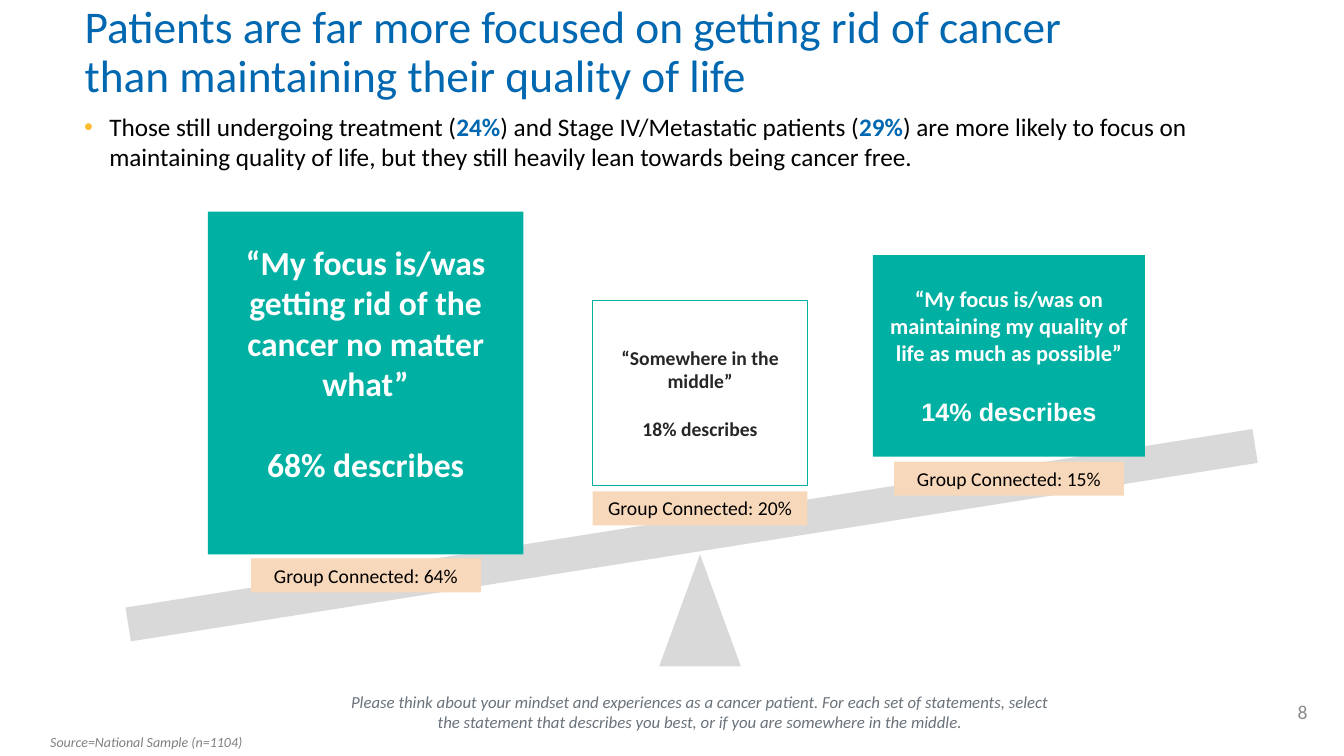
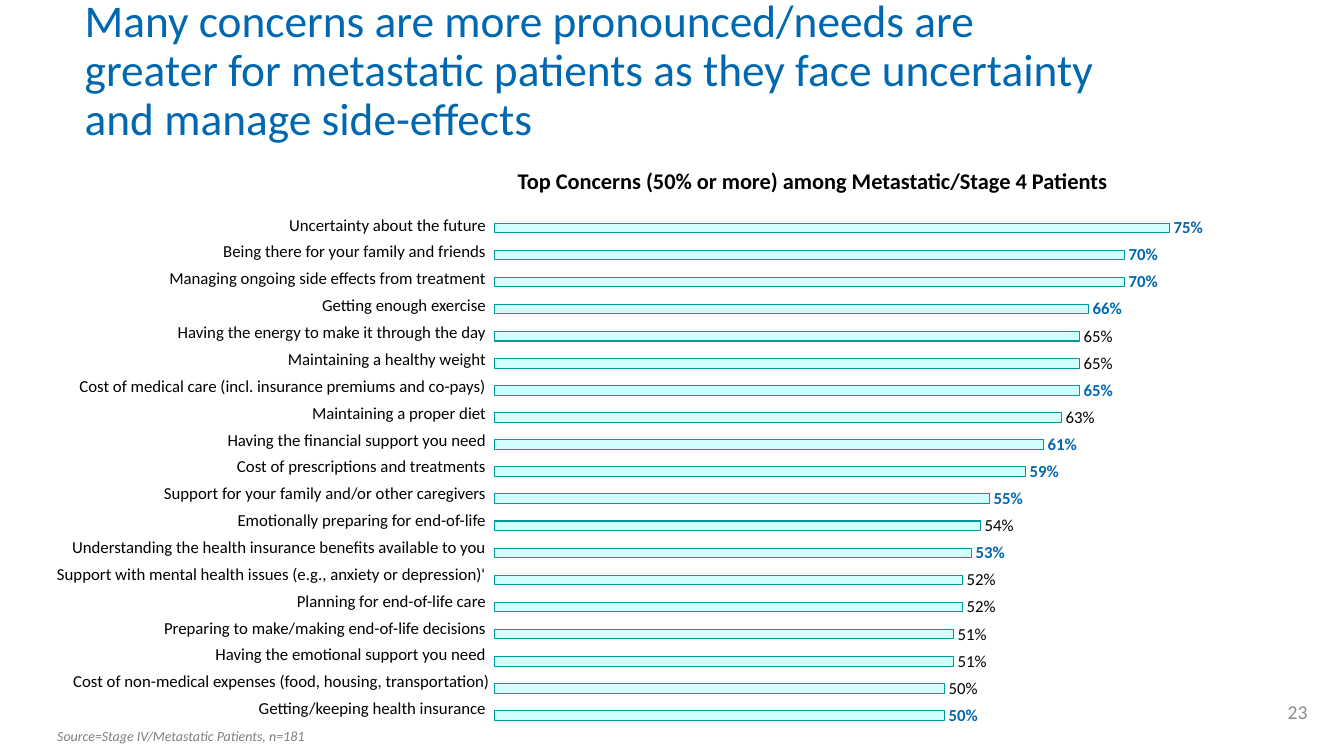
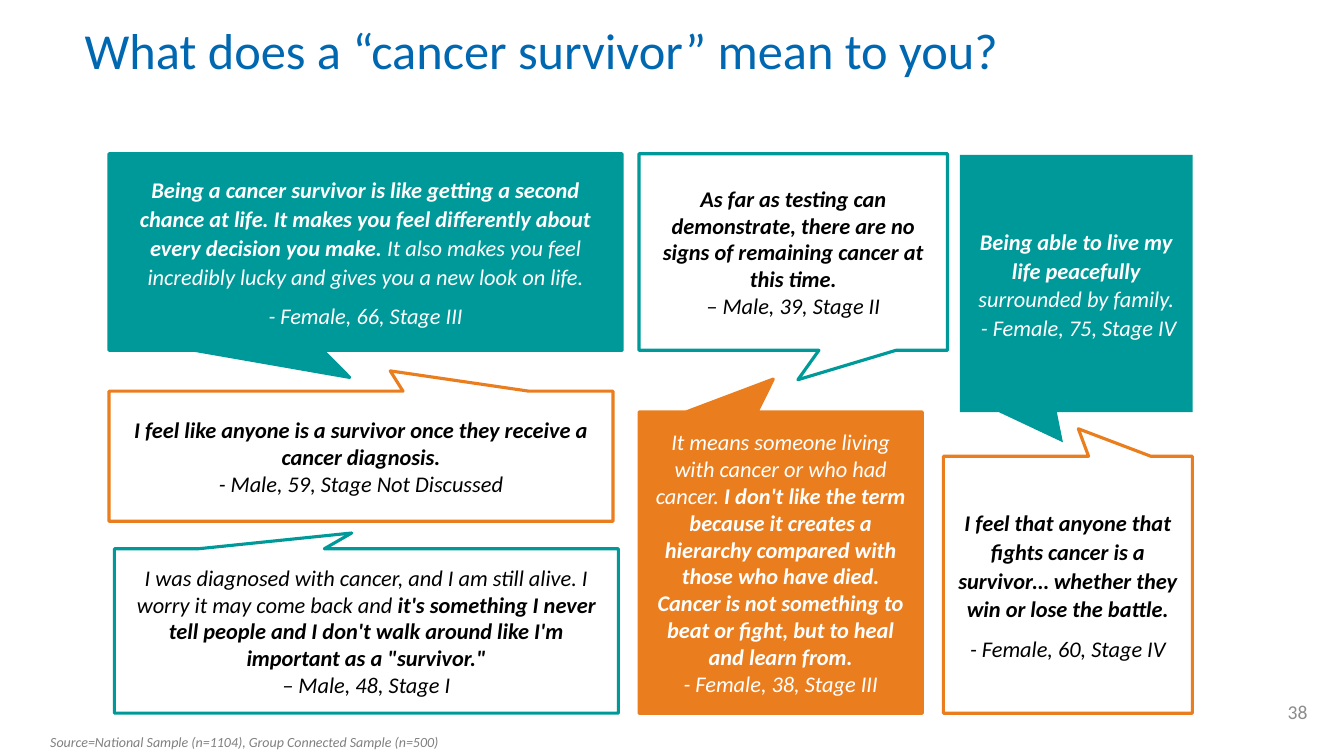
from dataclasses import dataclass

from lxml import etree
from pptx import Presentation
from pptx.chart.data import CategoryChartData
from pptx.dml.color import RGBColor
from pptx.enum.chart import XL_CHART_TYPE, XL_LABEL_POSITION
from pptx.enum.shapes import MSO_SHAPE
from pptx.enum.text import MSO_ANCHOR, MSO_AUTO_SIZE, PP_ALIGN
from pptx.oxml import parse_xml
from pptx.oxml.ns import nsdecls, qn
from pptx.util import Pt

LEFT, CENTER, RIGHT = PP_ALIGN.LEFT, PP_ALIGN.CENTER, PP_ALIGN.RIGHT
TOP, MIDDLE = MSO_ANCHOR.TOP, MSO_ANCHOR.MIDDLE
RECTANGLE, TRIANGLE = MSO_SHAPE.RECTANGLE, MSO_SHAPE.ISOSCELES_TRIANGLE
CALLOUT = MSO_SHAPE.RECTANGULAR_CALLOUT
BAR_CLUSTERED, OUTSIDE_END = XL_CHART_TYPE.BAR_CLUSTERED, XL_LABEL_POSITION.OUTSIDE_END
NO_AUTO_SIZE = MSO_AUTO_SIZE.NONE


@dataclass(frozen=True)
class Theme:
    font: str = "Calibri"
    blue: RGBColor = RGBColor(0x00, 0x67, 0xB1)
    teal: RGBColor = RGBColor(0x00, 0xB1, 0xA3)
    dark_teal: RGBColor = RGBColor(0x00, 0x99, 0x99)
    pale_teal: RGBColor = RGBColor(0xD1, 0xFF, 0xFB)
    orange: RGBColor = RGBColor(0xEA, 0x7E, 0x1E)
    peach: RGBColor = RGBColor(0xF8, 0xD8, 0xBA)
    bullet: RGBColor = RGBColor(0xFD, 0xBB, 0x30)
    black: RGBColor = RGBColor(0, 0, 0)
    charcoal: RGBColor = RGBColor(0x26, 0x26, 0x26)
    white: RGBColor = RGBColor(0xFF, 0xFF, 0xFF)
    light_gray: RGBColor = RGBColor(0xD9, 0xD9, 0xD9)
    source_gray: RGBColor = RGBColor(0x80, 0x80, 0x80)
    number_gray: RGBColor = RGBColor(0x8C, 0x8C, 0x8C)
    question_gray: RGBColor = RGBColor(0x6A, 0x73, 0x7B)
    long_title: float = 32.4
    short_title: float = 36
    statement: float = 24
    body: float = 18
    quote: float = 16
    tag: float = 14
    label: float = 12
    source: float = 10


THEME = Theme()

presentation = Presentation()
presentation.slide_width, presentation.slide_height = Pt(960), Pt(540)


def write_text(frame, paragraphs, size, color, bold=False, italic=False,
               align=LEFT, anchor=TOP, gap=0, spacing=None):
    """Each paragraph is a string or a list of (text, bold) runs."""
    frame.word_wrap = True
    frame.vertical_anchor = anchor
    for index, content in enumerate(paragraphs):
        paragraph = frame.add_paragraph() if index else frame.paragraphs[0]
        paragraph.alignment = align
        if spacing:
            paragraph.line_spacing = spacing
        if index and gap:
            paragraph.space_before = Pt(gap)
        font = paragraph.font
        font.name, font.size, font.italic = THEME.font, Pt(size), italic
        font.color.rgb = color
        if isinstance(content, str):
            font.bold = bold
            paragraph.add_run().text = content
            continue
        for text, run_bold in content:
            run = paragraph.add_run()
            run.text, run.font.bold = text, run_bold


def add_slide(title, title_size, number, source, title_top=0, source_at=(28.8, 520.6)):
    """Add a slide with the shared title, source line and slide number."""
    slide = presentation.slides.add_slide(presentation.slide_layouts[5])
    shape = slide.shapes.title
    shape.left, shape.top, shape.width, shape.height = Pt(53.3), Pt(title_top), Pt(752.4), Pt(76.3)
    write_text(shape.text_frame, [title], title_size, THEME.blue, anchor=MIDDLE, spacing=0.9)
    shape.text_frame.auto_size = NO_AUTO_SIZE
    source_box = slide.shapes.add_textbox(Pt(source_at[0]), Pt(source_at[1]), Pt(366.5), Pt(19.4))
    write_text(source_box.text_frame, [source], THEME.source, THEME.source_gray, italic=True)
    number_box = slide.shapes.add_textbox(Pt(870.5), Pt(493.9), Pt(70.6), Pt(28.8))
    write_text(number_box.text_frame, [number], THEME.tag, THEME.number_gray,
               align=RIGHT, anchor=MIDDLE)
    return slide


# Slide 1: seesaw
slide = add_slide("Patients are far more focused on getting rid of cancer than maintaining "
                  "their quality of life", THEME.long_title, "8", "Source=National Sample (n=1104)")

# Bulleted finding
finding = slide.shapes.add_textbox(Pt(53), Pt(76), Pt(828), Pt(76.3))
properties = finding.text_frame.paragraphs[0]._p.get_or_add_pPr()
properties.set("marL", str(Pt(18)))
properties.set("indent", str(-Pt(18)))
bullet_color = etree.SubElement(properties, qn("a:buClr"))
etree.SubElement(bullet_color, qn("a:srgbClr"), val=str(THEME.bullet))
etree.SubElement(properties, qn("a:buFont"), typeface="Arial")
etree.SubElement(properties, qn("a:buChar"), char="•")
write_text(finding.text_frame, [[
    ("Those still undergoing treatment (", False), ("24%", True),
    (") and Stage IV/Metastatic patients (", False), ("29%", True),
    (") are more likely to focus on maintaining quality of life, but they still heavily "
     "lean towards being cancer free.", False)]], THEME.body, THEME.black)
for run in finding.text_frame.paragraphs[0].runs:
    if run.font.bold:
        run.font.color.rgb = THEME.blue

# Plank and pivot
plank = slide.shapes.add_shape(RECTANGLE, Pt(86.6), Pt(370.1), Pt(815), Pt(24.5))
plank.rotation = 351
pivot = slide.shapes.add_shape(TRIANGLE, Pt(470.9), Pt(396), Pt(58.3), Pt(79.9))
for shape in (plank, pivot):
    shape.shadow.inherit = False
    shape.fill.solid()
    shape.fill.fore_color.rgb = THEME.light_gray
    shape.line.fill.background()

# Statements: box, fill, text colour, size, gap, statement, share
STATEMENTS = [
    ((148.5, 151.2, 225.4, 244.8), THEME.teal, THEME.white, THEME.statement, 28.8,
     "“My focus is/was getting rid of the cancer no matter what”", "68% describes"),
    ((423.4, 214.4, 153.4, 132.5), None, THEME.charcoal, THEME.tag, 17.1,
     "“Somewhere in the middle”", "18% describes"),
    ((623.5, 182.2, 194.4, 144), THEME.teal, THEME.white, THEME.quote, 22,
     "“My focus is/was on maintaining my quality of life as much as possible”", "14% describes"),
]
boxes = []
for place, fill, color, size, gap, statement, share in STATEMENTS:
    box = slide.shapes.add_shape(RECTANGLE, *map(Pt, place))
    box.shadow.inherit = False
    if fill:
        box.fill.solid()
        box.fill.fore_color.rgb = fill
        box.line.fill.background()
    else:
        box.fill.background()
        box.line.color.rgb = THEME.teal
        box.line.width = Pt(0.85)
    write_text(box.text_frame, [statement, share], size, color, bold=True,
               align=CENTER, anchor=MIDDLE, gap=gap)
    boxes.append(box)
boxes[0].text_frame.margin_bottom = Pt(32.4)
share_font = boxes[2].text_frame.paragraphs[1].font
share_font.name, share_font.size = "Arial", Pt(THEME.body)

# Tags under the statements
for left, top, width, share in [(179.3, 398.9, 164.2, "64%"), (423.4, 351, 153.4, "20%"),
                                (638.6, 329.8, 164.2, "15%")]:
    tag = slide.shapes.add_shape(RECTANGLE, Pt(left), Pt(top), Pt(width), Pt(24.3))
    tag.shadow.inherit = False
    tag.fill.solid()
    tag.fill.fore_color.rgb = THEME.peach
    tag.line.fill.background()
    write_text(tag.text_frame, [f"Group Connected: {share}"], THEME.tag, THEME.black, align=CENTER)

# Survey question
question = slide.shapes.add_textbox(Pt(236.9), Pt(490.3), Pt(526.3), Pt(36))
write_text(question.text_frame, [
    "Please think about your mindset and experiences as a cancer patient. For each set of "
    "statements, select the statement that describes you best, or if you are somewhere in "
    "the middle."], THEME.label, THEME.question_gray, italic=True, align=CENTER)

# Slide 2: concerns chart
slide = add_slide("Many concerns are more pronounced/needs are greater for metastatic patients "
                  "as they face uncertainty and manage side-effects", THEME.long_title, "23",
                  "Source=Stage IV/Metastatic Patients, n=181",
                  title_top=13.3, source_at=(33.8, 516.2))

# Concern, share, highlighted
CONCERNS = [
    ("Uncertainty about the future ", 0.75, True),
    ("Being there for your family and friends ", 0.70, True),
    ("Managing ongoing side effects from treatment ", 0.70, True),
    ("Getting enough exercise ", 0.66, True),
    ("Having the energy to make it through the day ", 0.65, False),
    ("Maintaining a healthy weight ", 0.65, False),
    ("Cost of medical care (incl. insurance premiums and co-pays) ", 0.65, True),
    ("Maintaining a proper diet ", 0.63, False),
    ("Having the financial support you need ", 0.61, True),
    ("Cost of prescriptions and treatments ", 0.59, True),
    ("Support for your family and/or other caregivers ", 0.55, True),
    ("Emotionally preparing for end-of-life ", 0.54, False),
    ("Understanding the health insurance benefits available to you ", 0.53, True),
    ("Support with mental health issues (e.g., anxiety or depression)' ", 0.52, False),
    ("Planning for end-of-life care ", 0.52, False),
    ("Preparing to make/making end-of-life decisions ", 0.51, False),
    ("Having the emotional support you need ", 0.51, False),
    ("Cost of non-medical expenses (food, housing, transportation)", 0.50, False),
    ("Getting/keeping health insurance ", 0.50, True),
]

# Bars; the second series has no values yet
chart_data = CategoryChartData(number_format="0%")
chart_data.categories = [str(number) for number in range(1, len(CONCERNS) + 1)]
chart_data.add_series("Series 1", [share for _, share, _ in CONCERNS])
chart_data.add_series("Series 2", [])
chart = slide.shapes.add_chart(BAR_CLUSTERED, Pt(344.2), Pt(142.2), Pt(536.4), Pt(389.5),
                               chart_data).chart
chart.has_legend = chart.has_title = False
chart.font.name, chart.font.size = THEME.font, Pt(THEME.source)
chart.font.color.rgb = THEME.black
chart.category_axis.reverse_order = True
chart.category_axis.visible = chart.value_axis.visible = False
chart.value_axis.has_major_gridlines = False
chart.value_axis.minimum_scale, chart.value_axis.maximum_scale = 0, 0.8

plot = chart.plots[0]
plot.gap_width, plot.overlap, plot.vary_by_categories = 182, 100, False
series = plot.series[0]
series.format.fill.solid()
series.format.fill.fore_color.rgb = THEME.pale_teal
series.format.line.color.rgb = THEME.dark_teal
series.format.line.width = Pt(0.75)

# Value labels: blue and bold where highlighted
labels = series.data_labels
labels.show_value, labels.position = True, OUTSIDE_END
labels.number_format, labels.number_format_is_linked = "0%", False
label_styles = [(labels.font, True, THEME.blue)]
for index, (_, _, highlighted) in enumerate(CONCERNS):
    if not highlighted:
        label = series.points[index].data_label
        label_styles.append((label.font, False, THEME.black))
        label.position = OUTSIDE_END
for font, bold, color in label_styles:
    font.name, font.size, font.bold = THEME.font, Pt(THEME.label), bold
    font.color.rgb = color

# Fixed plot area, so that bars line up with the table rows
plot_area = chart._chartSpace.chart.plotArea
for old_layout in plot_area.findall(qn("c:layout")):
    plot_area.remove(old_layout)
plot_area.insert(0, parse_xml(
    f'<c:layout {nsdecls("c")}><c:manualLayout><c:layoutTarget val="inner"/>'
    '<c:xMode val="edge"/><c:yMode val="edge"/><c:x val="0.017"/><c:y val="0.028"/>'
    '<c:w val="0.959"/><c:h val="0.944"/></c:manualLayout></c:layout>'))

# Concern names
table = slide.shapes.add_table(len(CONCERNS), 1, Pt(36), Pt(153.7), Pt(313.9), Pt(365)).table
table.first_row = table.horz_banding = False
for index, (concern, _, _) in enumerate(CONCERNS):
    table.rows[index].height = Pt(19.21)
    cell = table.cell(index, 0)
    cell.fill.background()
    cell.margin_left = cell.margin_right = cell.margin_top = cell.margin_bottom = 0
    write_text(cell.text_frame, [concern], THEME.label, THEME.black, align=RIGHT)

# Chart heading
heading = slide.shapes.add_textbox(Pt(359.8), Pt(115.5), Pt(441.4), Pt(26.6))
write_text(heading.text_frame, ["Top Concerns (50% or more) among Metastatic/Stage 4 Patients"],
           THEME.quote, THEME.black, bold=True, align=CENTER)
heading.text_frame.word_wrap = False

# Slide 3: quotes
slide = add_slide("What does a “cancer survivor” mean to you?", THEME.short_title, "38",
                  "Source=National Sample (n=1104), Group Connected Sample (n=500)")

# Place, pointer, fill, outline, text colour, gap, line spacing, quote runs, speaker
QUOTES = [
    ((77.9, 279.4, 360, 92.9), (0.058, -0.656), None, THEME.orange, THEME.black, 0, None,
     [("I feel like anyone is a survivor once they receive a cancer diagnosis.", True)],
     "- Male, 59, Stage Not Discussed"),
    ((77.9, 109.8, 366.5, 140.4), (-0.031, 0.638), THEME.dark_teal, THEME.dark_teal, THEME.white,
     8, 1.07,
     [("Being a cancer survivor is like getting a second chance at life. It makes you feel "
       "differently about every decision you make. ", True),
      ("It also makes you feel incredibly lucky and gives you a new look on life.", False)],
     "- Female, 66, Stage III"),
    ((456.5, 109.8, 220.3, 140.4), (0.015, 0.65), None, THEME.dark_teal, THEME.black, 0, None,
     [("As far as testing can demonstrate, there are no signs of remaining cancer at this time.",
       True)],
     "– Male, 39, Stage II"),
    ((673.9, 325.9, 177.8, 183.6), (0.042, -0.607), None, THEME.orange, THEME.black, 8, 1.07,
     [("I feel that anyone that fights cancer is a survivor… whether they win or lose the battle.",
       True)],
     "- Female, 60, Stage IV"),
    ((685.6, 110.7, 166.3, 183.6), (-0.057, 0.618), THEME.dark_teal, None, THEME.white, 0, 1.07,
     [("Being able to live my life peacefully ", True), ("surrounded by family.", False)],
     " - Female, 75, Stage IV"),
    ((456.5, 294.2, 202.3, 215.3), (-0.026, -0.609), THEME.orange, THEME.orange, THEME.white,
     0, None,
     [("It means someone living with cancer or who had cancer. ", False),
      ("I don't like the term because it creates a hierarchy compared with those who have died. "
       "Cancer is not something to beat or fight, but to heal and learn from.", True)],
     "- Female, 38, Stage III"),
    ((81.7, 392, 360, 117.4), (-0.029, -0.596), THEME.white, THEME.dark_teal, THEME.black,
     0, None,
     [("I was diagnosed with cancer, and I am still alive. I worry it may come back and ", False),
      ("it's something I never tell people and I don't walk around like I'm important as a "
       "\"survivor.\"", True)],
     "– Male, 48, Stage I"),
]
for place, pointer, fill, outline, color, gap, spacing, quote, speaker in QUOTES:
    callout = slide.shapes.add_shape(CALLOUT, *map(Pt, place))
    callout.adjustments[0], callout.adjustments[1] = pointer
    callout.shadow.inherit = False
    if fill:
        callout.fill.solid()
        callout.fill.fore_color.rgb = fill
    else:
        callout.fill.background()
    if outline:
        callout.line.color.rgb = outline
        callout.line.width = Pt(2.25)
    else:
        callout.line.fill.background()
    write_text(callout.text_frame, [quote, speaker], THEME.quote, color, italic=True,
               align=CENTER, anchor=MIDDLE, gap=gap, spacing=spacing)

presentation.save("out.pptx")
